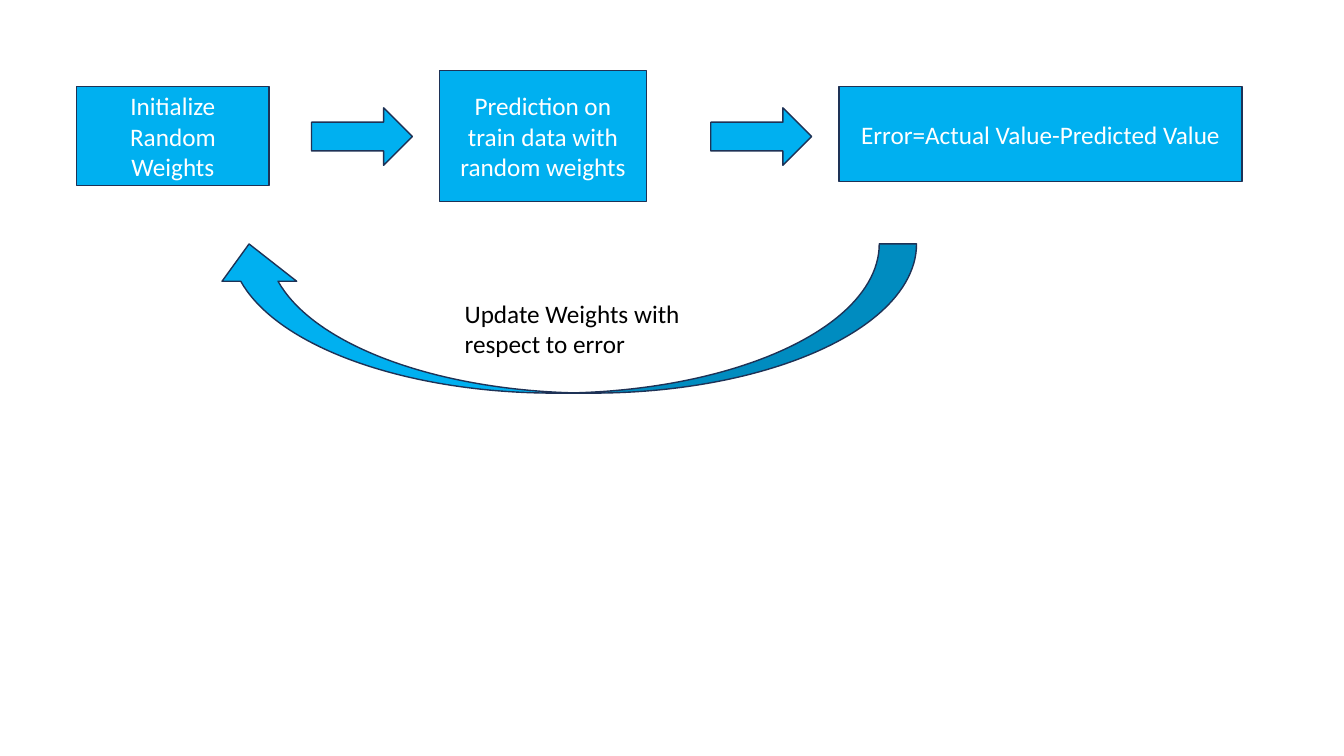
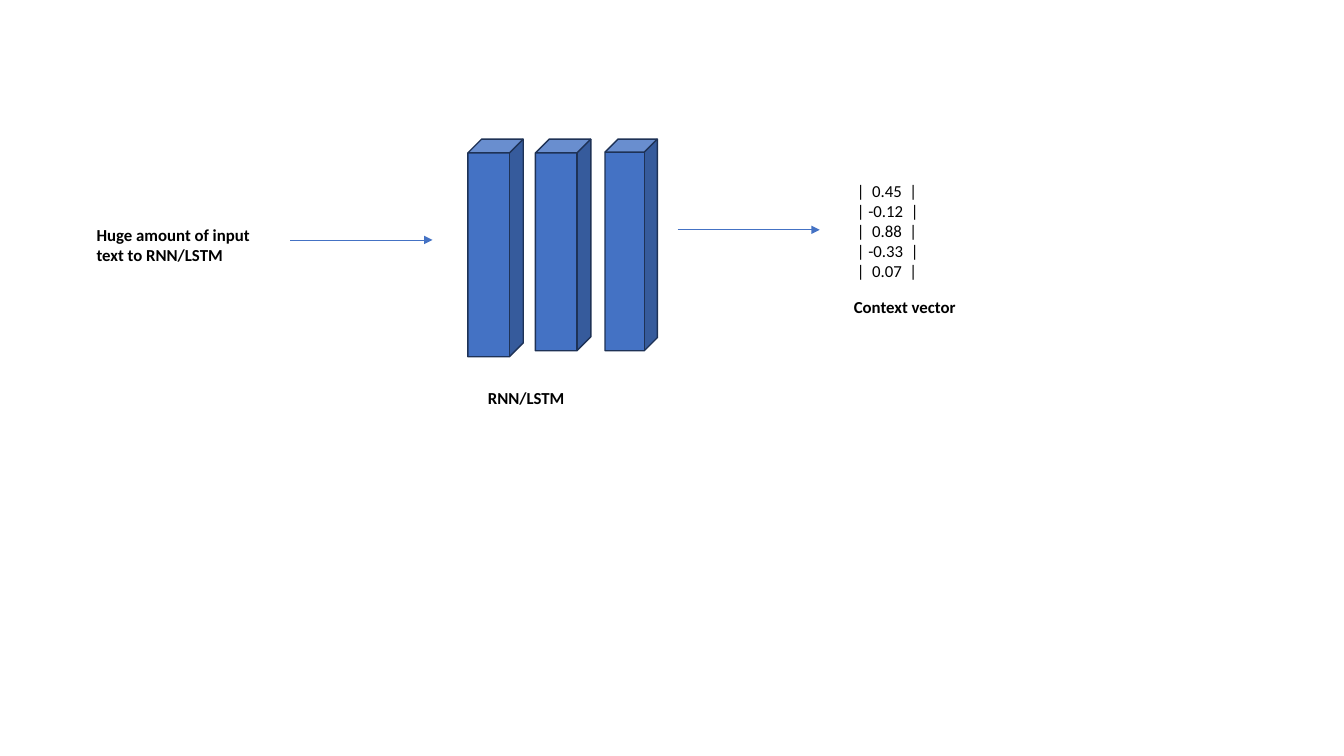
from lxml import etree
from pptx import Presentation
from pptx.dml.color import RGBColor
from pptx.enum.shapes import MSO_CONNECTOR, MSO_SHAPE
from pptx.enum.text import MSO_ANCHOR, PP_ALIGN
from pptx.oxml.ns import qn
from pptx.util import Pt

PX = 9144  # EMU per px, 100 px to the inch
FONT = "Calibri"
SKY = RGBColor(0x00, 0xB0, 0xF0)
BLUE = RGBColor(0x44, 0x72, 0xC4)
NAVY = RGBColor(0x1E, 0x32, 0x56)
WHITE = RGBColor(0xFF, 0xFF, 0xFF)
BLACK = RGBColor(0x00, 0x00, 0x00)

RECTANGLE = MSO_SHAPE.RECTANGLE
RIGHT_ARROW = MSO_SHAPE.RIGHT_ARROW
CURVED_ARROW = MSO_SHAPE.CURVED_DOWN_ARROW
CUBE = MSO_SHAPE.CUBE
STRAIGHT = MSO_CONNECTOR.STRAIGHT
CENTER = PP_ALIGN.CENTER
MIDDLE = MSO_ANCHOR.MIDDLE

presentation = Presentation()
presentation.slide_width = 1333 * PX
presentation.slide_height = 750 * PX
blank_layout = presentation.slide_layouts[6]


def add_block(slide, kind, left, top, width, height, color):
    shape = slide.shapes.add_shape(kind, left * PX, top * PX, width * PX, height * PX)
    shape.shadow.inherit = False
    shape.fill.solid()
    shape.fill.fore_color.rgb = color
    shape.line.color.rgb = NAVY
    shape.line.width = Pt(1)
    return shape


def add_label(slide, text, left, top, width, height, size, bold):
    box = slide.shapes.add_textbox(left * PX, top * PX, width * PX, height * PX)
    frame = box.text_frame
    frame.word_wrap = True
    frame.text = text
    for paragraph in frame.paragraphs:
        paragraph.font.name = FONT
        paragraph.font.size = Pt(size)
        paragraph.font.bold = bold
        paragraph.font.color.rgb = BLACK


# Slide 1: training loop
slide = presentation.slides.add_slide(blank_layout)

# Steps
for text, left, top, width, height in [
    ("Initialize Random Weights", 76, 86, 191, 98),
    ("Prediction on train data with random weights", 436, 70, 205, 130),
    ("Error=Actual Value-Predicted Value", 832, 86, 400, 94),
]:
    step = add_block(slide, RECTANGLE, left, top, width, height, SKY)
    step.text_frame.word_wrap = True
    step.text_frame.vertical_anchor = MIDDLE
    step.text_frame.text = text
    paragraph = step.text_frame.paragraphs[0]
    paragraph.alignment = CENTER
    paragraph.font.name = FONT
    paragraph.font.size = Pt(18)
    paragraph.font.color.rgb = WHITE

# Arrows between the steps
for left in (309, 705):
    add_block(slide, RIGHT_ARROW, left, 107, 100, 57, SKY)

# Feedback arrow and its label
feedback_arrow = add_block(slide, CURVED_ARROW, 210, 242, 699, 148, SKY)
feedback_arrow.rotation = 180
add_label(slide, "Update Weights with respect to error", 451, 291, 300, 71, 18, False)

# Slide 2: encoder
slide = presentation.slides.add_slide(blank_layout)

# Network layers
for left, width, height in [(464, 55, 216), (531, 55, 210), (600, 52, 210)]:
    add_block(slide, CUBE, left, 138, width, height, BLUE)

# Arrows into and out of the network
for left, top in [(288, 238), (672, 228)]:
    arrow = slide.shapes.add_connector(
        STRAIGHT, left * PX, top * PX, (left + 141) * PX, top * PX
    )
    arrow.line.color.rgb = BLUE
    arrow.line.width = Pt(0.5)
    etree.SubElement(arrow.line._get_or_add_ln(), qn("a:tailEnd"), type="triangle")
    etree.SubElement(arrow._element.spPr, qn("a:effectLst"))

# Labels
for text, left, top, width, height in [
    ("Huge amount of input text to RNN/LSTM", 86, 218, 202, 50),
    ("RNN/LSTM", 474, 380, 198, 30),
    ("Context vector", 837, 289, 202, 30),
]:
    add_label(slide, text, left, top, width, height, 12, True)

# Context vector values
vector_rows = ["|  0.45  |", "| -0.12  |", "|  0.88  |", "| -0.33  |", "|  0.07  |"]
add_label(slide, "\n".join(vector_rows), 840, 174, 213, 131, 12, False)

presentation.save("out.pptx")
